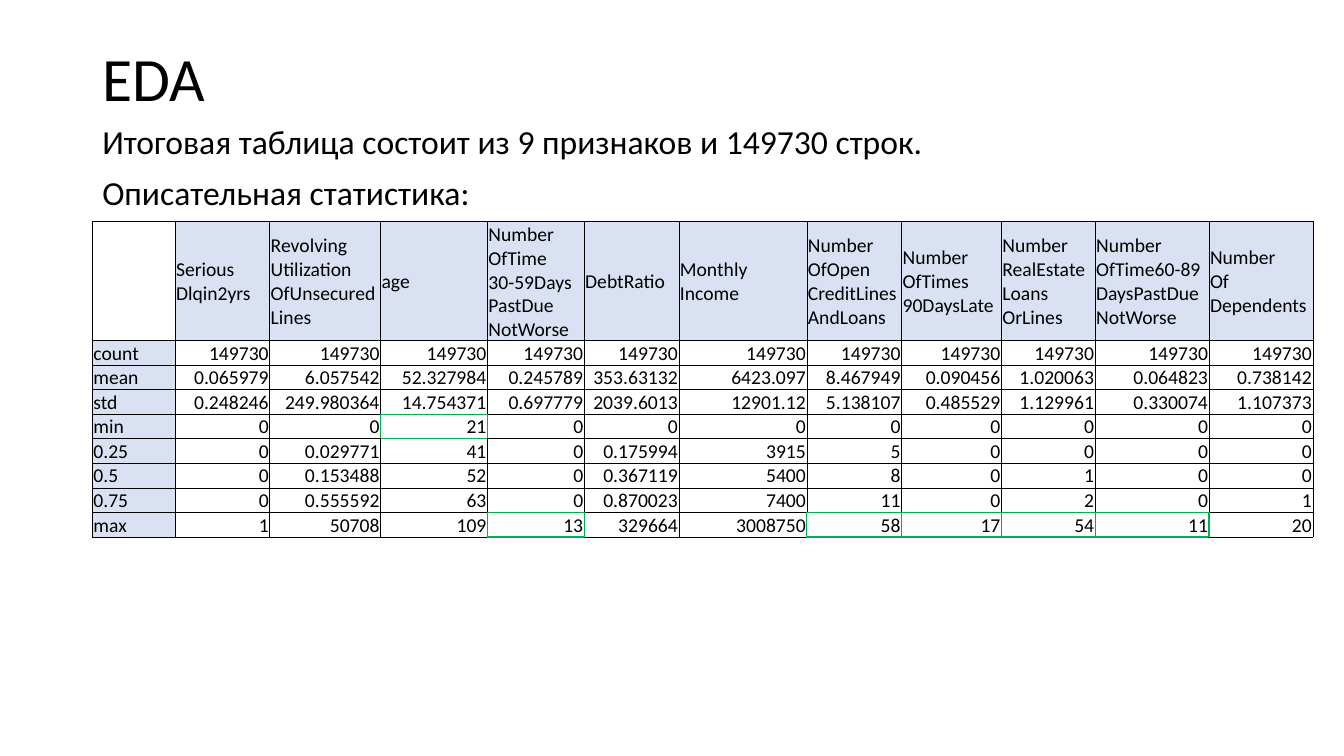
from copy import deepcopy

from lxml.etree import SubElement
from pptx import Presentation
from pptx.dml.color import RGBColor
from pptx.enum.text import MSO_ANCHOR, PP_ALIGN
from pptx.oxml.ns import qn
from pptx.util import Inches, Pt

COLORS = {"text": "000000", "header": "D9E1F2", "grid": "000000", "highlight": "00B050"}
FONT = "Calibri"

deck = Presentation()
deck.slide_width, deck.slide_height = Inches(13.333), Inches(7.5)
page = deck.slides.add_slide(deck.slide_layouts[6])
unit = deck.slide_width / 160  # the slide is a grid of 160 columns by 90 rows


def write(para, text, size, **layout):
    para.text = text
    for name, value in layout.items():
        setattr(para, name, value)
    for span in para.runs:
        for name, value in {"name": FONT, "size": Pt(size), "bold": False}.items():
            setattr(span.font, name, value)
        span.font.color.rgb = RGBColor.from_string(COLORS["text"])
    for line_break in para._p.findall(qn("a:br")):
        line_break.insert(0, deepcopy(para.runs[0]._r.rPr))


def draw_border(cell, side, color, points):
    line = SubElement(cell._tc.get_or_add_tcPr(), qn(f"a:ln{side}"), w=str(Pt(points)))
    SubElement(SubElement(line, qn("a:solidFill")), qn("a:srgbClr"), val=color)


# Title and introduction
text_blocks = [
    ((11, 1, 138, 17.4), MSO_ANCHOR.MIDDLE, 44, 0, ["EDA"]),
    ((11, 14.4, 145.6, 65.2), MSO_ANCHOR.TOP, 24, 10,
     ["Итоговая таблица состоит из 9 признаков и 149730 строк.",
      "Описательная статистика:"]),
]
for place, anchor, size, gap, lines in text_blocks:
    box = page.shapes.add_textbox(*[int(length * unit) for length in place])
    frame = box.text_frame
    frame.word_wrap = True
    frame.vertical_anchor = anchor
    for index, line in enumerate(lines):
        para = frame.add_paragraph() if index else frame.paragraphs[0]
        write(para, line, size, line_spacing=0.9, space_before=Pt(gap))

# Descriptive statistics
headers = [
    "", "Serious\nDlqin2yrs", "Revolving\nUtilization\nOfUnsecured\nLines", "age",
    "Number\nOfTime\n30-59Days\nPastDue\nNotWorse", "DebtRatio", "Monthly\nIncome",
    "Number\nOfOpen\nCreditLines\nAndLoans", "Number\nOfTimes\n90DaysLate",
    "Number\nRealEstate\nLoans\nOrLines", "Number\nOfTime60-89\nDaysPastDue\nNotWorse",
    "Number\nOf\nDependents",
]
statistics = [
    "count" + " 149730" * 11,
    "mean 0.065979 6.057542 52.327984 0.245789 353.63132 6423.097 8.467949 0.090456 1.020063 0.064823 0.738142",
    "std 0.248246 249.980364 14.754371 0.697779 2039.6013 12901.12 5.138107 0.485529 1.129961 0.330074 1.107373",
    "min 0 0 21 0 0 0 0 0 0 0 0",
    "0.25 0 0.029771 41 0 0.175994 3915 5 0 0 0 0",
    "0.5 0 0.153488 52 0 0.367119 5400 8 0 1 0 0",
    "0.75 0 0.555592 63 0 0.870023 7400 11 0 2 0 1",
    "max 1 50708 109 13 329664 3008750 58 17 54 11 20",
]
records = [headers] + [line.split() for line in statistics]
column_widths = [9.84, 11.28, 13.2, 12.72, 11.52, 11.28, 15.24, 11.28, 11.88, 11.16, 13.56, 12.36]
row_heights = [11.64] + [2.33] * len(statistics)
highlighted = {(4, 3), (8, 4), (8, 7), (8, 8), (8, 9), (8, 10)}
sides = {"L": (0, -1), "R": (0, 1), "T": (-1, 0), "B": (1, 0)}

place = (11, 26.4, sum(column_widths), sum(row_heights))
table = page.shapes.add_table(len(records), len(headers),
                              *[int(length * unit) for length in place]).table
table.first_row = table.horz_banding = False
for column, width in zip(table.columns, column_widths):
    column.width = int(width * unit)
for row, height in zip(table.rows, row_heights):
    row.height = int(height * unit)

cell_format = {"margin_left": Inches(0.01), "margin_right": Inches(0.01),
               "margin_top": Inches(0.01), "margin_bottom": 0,
               "vertical_anchor": MSO_ANCHOR.MIDDLE}
for r, record in enumerate(records):
    for c, value in enumerate(record):
        cell = table.cell(r, c)
        for name, setting in cell_format.items():
            setattr(cell, name, setting)
        is_label = r == 0 or c == 0
        write(cell.text_frame.paragraphs[0], value, 14,
              alignment=PP_ALIGN.LEFT if is_label else PP_ALIGN.RIGHT)

        # An edge is highlighted when a cell on either side of it is
        for side, (down, across) in sides.items():
            if highlighted & {(r, c), (r + down, c + across)}:
                draw_border(cell, side, COLORS["highlight"], 1)
            else:
                draw_border(cell, side, COLORS["grid"], 0.5)

        if is_label and value:
            cell.fill.solid()
            cell.fill.fore_color.rgb = RGBColor.from_string(COLORS["header"])
        else:
            cell.fill.background()

deck.save("out.pptx")
